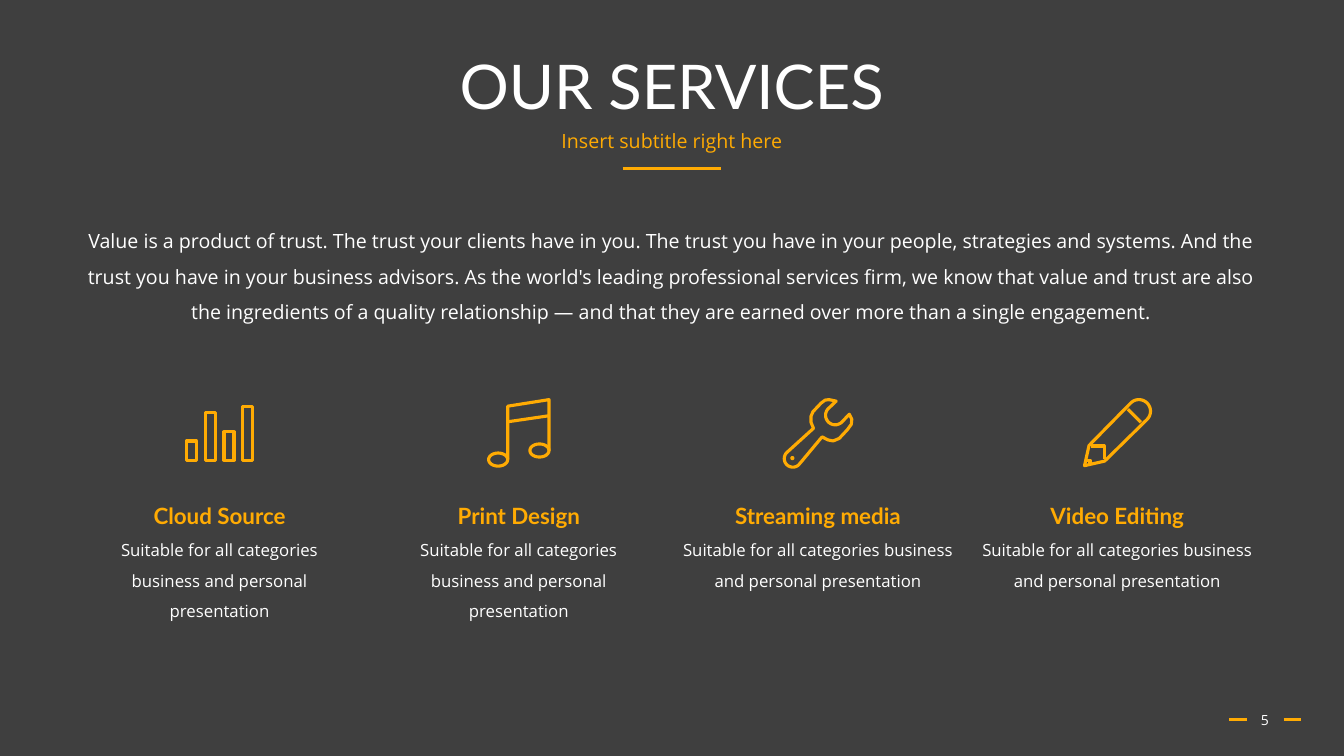
import math
import lxml.etree
import pptx
import pptx.dml.color
import pptx.enum.shapes
import pptx.enum.text
import pptx.oxml.ns
import pptx.util

Inches = pptx.util.Inches
color = pptx.dml.color.RGBColor.from_string
anchors = pptx.enum.text.MSO_ANCHOR
ORANGE, WHITE, GREY = "FFAB03", "FFFFFF", "3F3F3F"


def write(box, text, size, font, hue, bold=False, spacing=1.0, anchor=anchors.TOP, wrap=True):
    frame = box.text_frame
    frame.word_wrap = wrap
    frame.auto_size = pptx.enum.text.MSO_AUTO_SIZE.NONE
    frame.vertical_anchor = anchor
    para = frame.paragraphs[0]
    para.alignment = pptx.enum.text.PP_ALIGN.CENTER
    para.line_spacing = spacing
    span = para.add_run()
    span.text = text
    span.font.size = pptx.util.Pt(size)
    span.font.name = font
    span.font.bold = bold
    span.font.color.rgb = color(hue)


def arc(x, y, rx, ry, start=0, end=360, steps=24):
    angles = [math.radians(start + (end - start) * i / steps) for i in range(steps + 1)]
    return [(x + rx * math.cos(a), y + ry * math.sin(a)) for a in angles]


deck = pptx.Presentation()
deck.slide_width = Inches(13.34)
deck.slide_height = Inches(7.5)
page = deck.slides.add_slide(deck.slide_layouts[5])
page.background.fill.solid()
page.background.fill.fore_color.rgb = color(GREY)

title = page.shapes.title
title.left, title.top, title.width, title.height = map(Inches, (0.92, 0.4, 11.5, 0.98))
write(title, "OUR SERVICES", 44, "Lato", WHITE, spacing=0.9, anchor=anchors.MIDDLE)

subtitle = page.shapes.add_textbox(*map(Inches, (0.92, 1.26, 11.5, 0.4)))
write(subtitle, "Insert subtitle right here", 14, "Open Sans", ORANGE, spacing=0.9)

intro = page.shapes.add_textbox(*map(Inches, (0.7, 2.11, 11.93, 1.39)))
write(
    intro,
    "Value is a product of trust. The trust your clients have in you. "
    "The trust you have in your people, strategies and systems. "
    "And the trust you have in your business advisors. "
    "As the world's leading professional services firm, we know that value and trust "
    "are also the ingredients of a quality relationship — and that they are earned "
    "over more than a single engagement.",
    14, "Open Sans", WHITE, spacing=1.5,
)

number = page.shapes.add_textbox(*map(Inches, (12.26, 6.94, 0.59, 0.4)))
write(number, "5", 10, "Open Sans", WHITE, anchor=anchors.MIDDLE)

for left, right, height in [(6.18, 7.16, 1.67), (12.2, 12.38, 7.14), (12.74, 12.91, 7.14)]:
    rule = page.shapes.add_connector(
        pptx.enum.shapes.MSO_CONNECTOR.STRAIGHT,
        Inches(left), Inches(height), Inches(right), Inches(height),
    )
    rule.line.color.rgb = color(ORANGE)
    rule.line.width = pptx.util.Pt(1.75)
    lxml.etree.SubElement(rule.element.spPr, pptx.oxml.ns.qn("a:effectLst"))

bars = []
for i, top in enumerate([42.5, 14.5, 33.5, 8.5]):
    left = -33 + 18.67 * i
    bars.append([(left, top), (left + 10, top), (left + 10, 61.5), (left, 61.5), (left, top)])

note = [
    arc(-20.5, 61, 9.5, 6.5),
    arc(20.5, 52, 9.5, 6.5),
    [(-11, 61), (-11, 8), (30, 1.5), (30, 52)],
    [(-11, 23.5), (30, 17.5)],
]

wrench = [
    [(18, 3)]
    + arc(17, 17, 9.5, 9.5, 220, 45)
    + [(31, 16), (33.5, 21), (33, 26), (29, 31.5), (21, 40), (15, 42.5), (10, 41.5), (4, 38.5)]
    + arc(-25, 60, 8.5, 8.5, 45, 225)
    + [(-4.5, 30), (-7, 24), (-7, 18), (-5, 13.5), (3, 5), (7, 2), (11, 1.5), (18, 3)],
    arc(-25.5, 59.5, 0.5, 0.5),
]

pencil = [
    [(-32.5, 67), (-28, 47)] + arc(21.5, 13, 11.5, 11.5, 225, 405)
    + [(-12.5, 62.5), (-32.5, 67)],
    [(10.5, 11), (23.5, 24)],
    [(-26.5, 47.5), (-13, 47.5), (-13, 60.5)],
    [(-30.5, 61.5), (-27, 61.5), (-27, 65)],
]

services = [
    ("Cloud Source", 1.51, 2.73, 1, bars),
    ("Print Design", 1.42, 2.67, 1, note),
    ("Streaming media", 1.85, 2.88, 0.7, wrench),
    ("Video Editing", 1.53, 2.88, 0.7, pencil),
]

for column, (name, name_width, width, height, contours) in enumerate(services):
    center = 2.18 + 2.97 * column

    heading = page.shapes.add_textbox(
        *map(Inches, (center - name_width / 2, 4.93, name_width, 0.37)))
    write(heading, name, 16, "Lato", ORANGE, bold=True, wrap=False)

    detail = page.shapes.add_textbox(*map(Inches, (center - width / 2, 5.21, width, height)))
    write(detail, "Suitable for all categories business and personal presentation",
          12, "Open Sans", WHITE, spacing=1.5)

    outline = None
    for contour in contours:
        points = [(Inches(center + x / 100), Inches(3.95 + y / 100)) for x, y in contour]
        if outline is None:
            outline = page.shapes.build_freeform(*points[0])
        else:
            outline.move_to(*points[0])
        outline.add_line_segments(points[1:], close=points[0] == points[-1])
    icon = outline.convert_to_shape()
    icon.shadow.inherit = False
    icon.fill.background()
    icon.line.color.rgb = color(ORANGE)
    icon.line.width = pptx.util.Pt(2.25)

deck.save("out.pptx")
